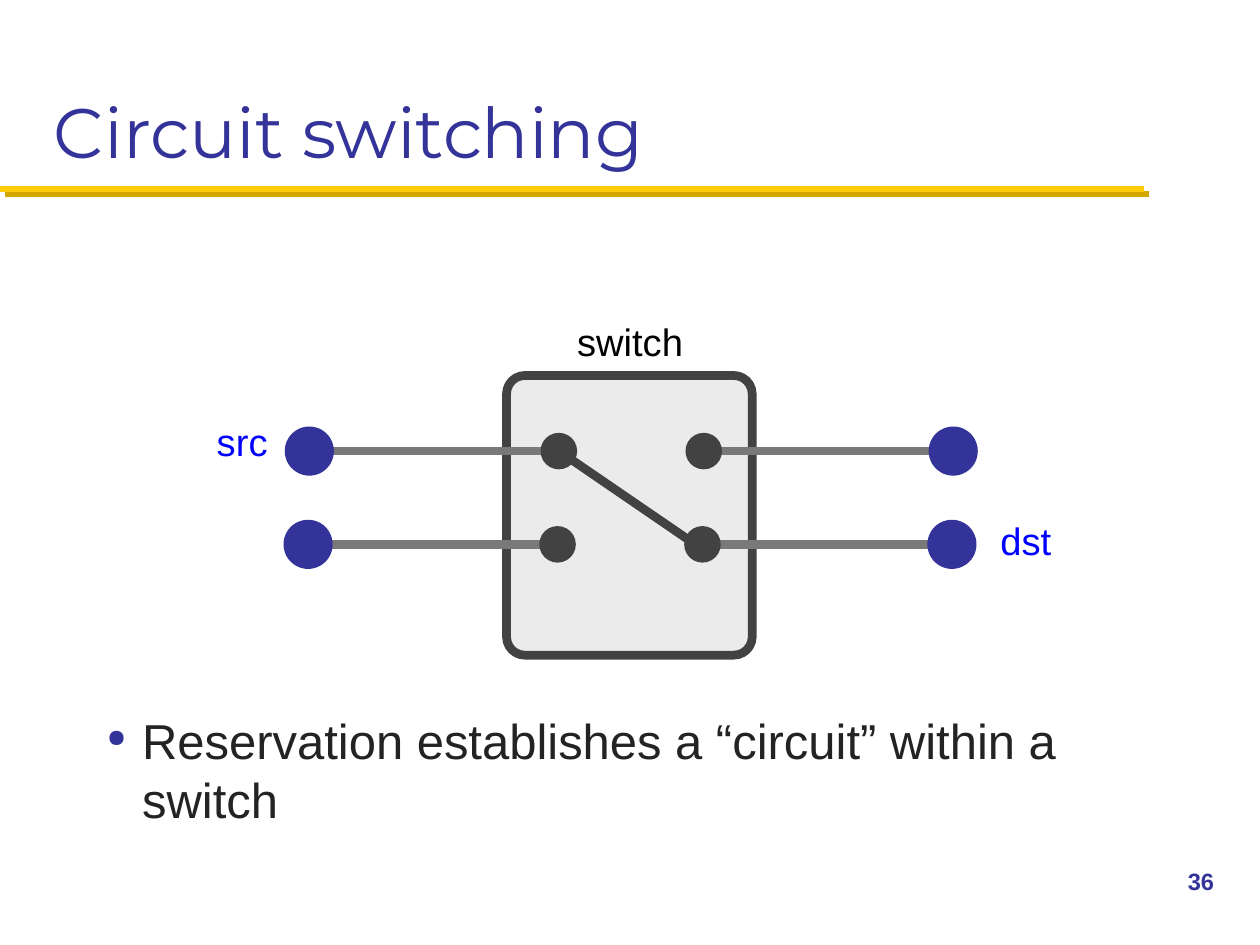
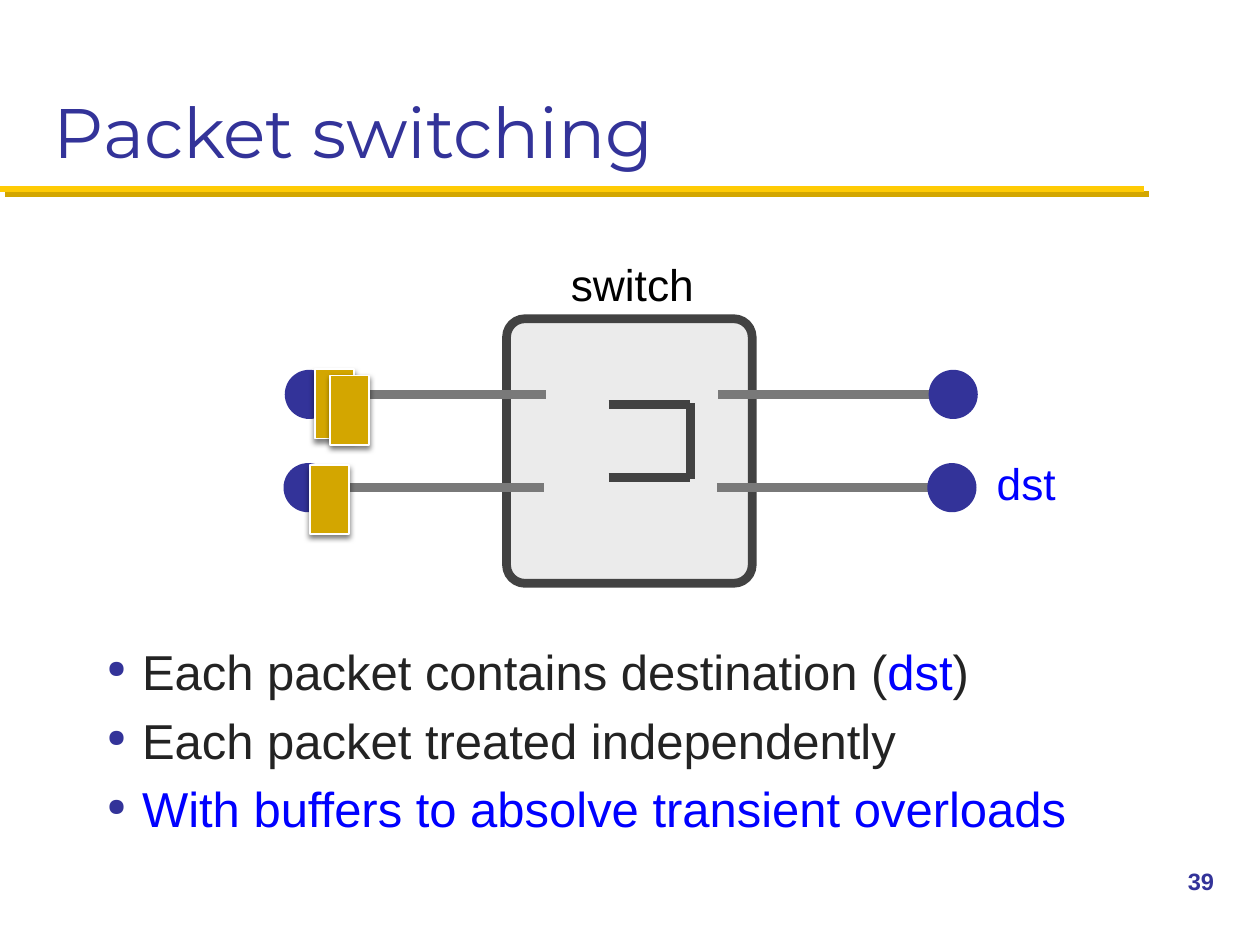
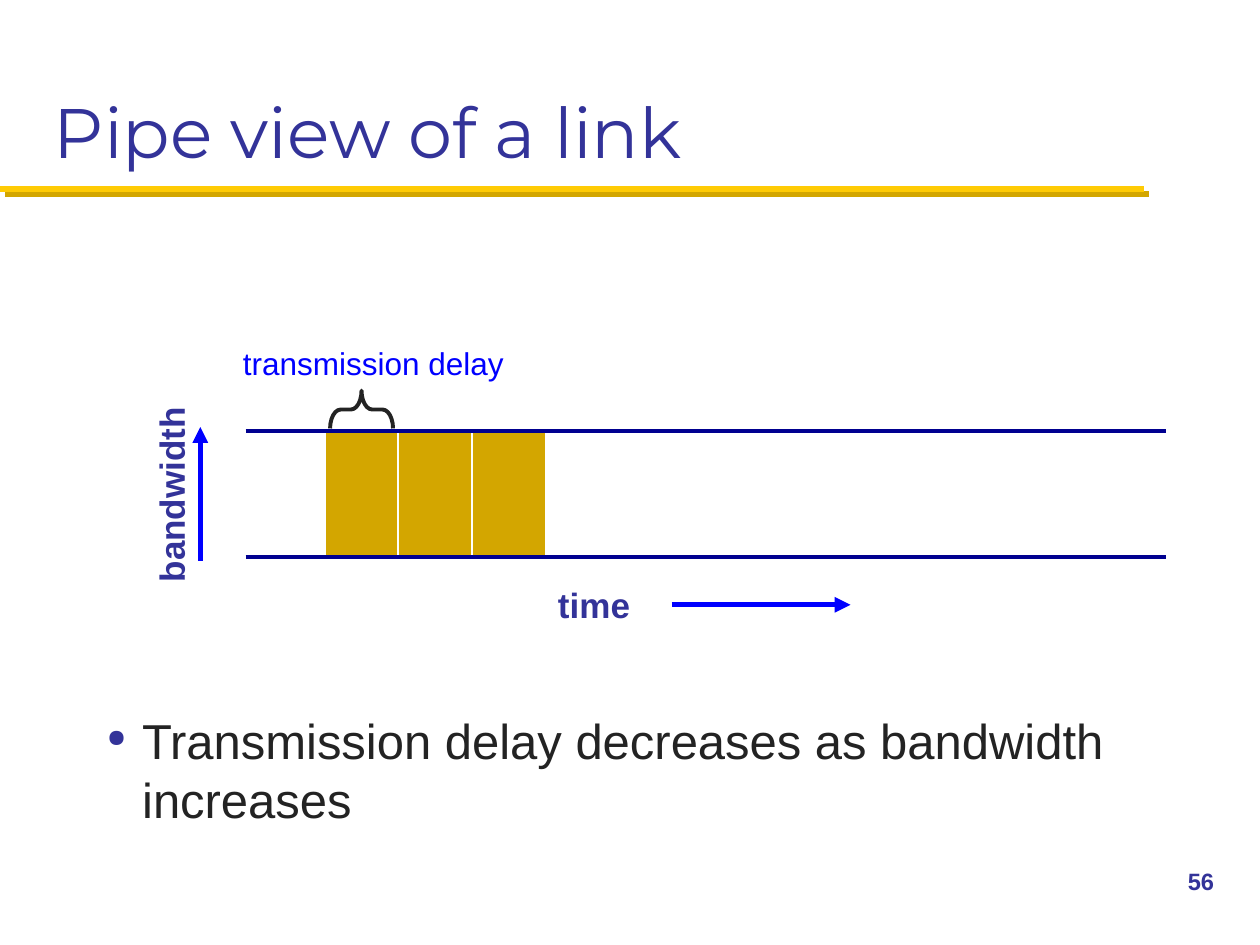
from dataclasses import dataclass

import lxml.etree
import pptx
import pptx.dml.color
import pptx.enum.shapes
import pptx.enum.text
import pptx.oxml.ns
import pptx.presentation
import pptx.shapes.autoshape
import pptx.shapes.base
import pptx.slide
import pptx.util

WIDTH = pptx.util.Inches(10)
HEIGHT = pptx.util.Inches(7.5)
COLUMN = WIDTH / 100
ROW = HEIGHT / 75

COLORS = {
    "navy": "333399",
    "band": "FFCB05",
    "gold": "D3A600",
    "ink": "232323",
    "blue": "0000FF",
    "black": "000000",
    "white": "FFFFFF",
    "switch": "EBEBEB",
    "dark": "424242",
    "link": "797979",
    "pipe": "000090",
}
BODY_FONT = "Arial"
TITLE_FONT = "Montserrat"
SHAPES = pptx.enum.shapes.MSO_SHAPE
ANCHORS = pptx.enum.text.MSO_ANCHOR

TextRun = tuple[str, str]


@dataclass(frozen=True)
class Box:
    left: float
    top: float
    width: float
    height: float

    def emu(self) -> tuple[int, int, int, int]:
        return (round(self.left * COLUMN), round(self.top * ROW),
                round(self.width * COLUMN), round(self.height * ROW))


@dataclass(frozen=True)
class Label:
    text: str
    box: Box
    size: float
    color: str
    font: str = BODY_FONT
    bold: bool = False
    wrap: bool = False
    anchor: pptx.enum.text.MSO_ANCHOR = ANCHORS.TOP
    insets: tuple[float, float] = (1, 0.5)
    rotation: float = 0


@dataclass(frozen=True)
class Line:
    start: tuple[float, float]
    end: tuple[float, float]
    color: str
    width: float
    arrow: bool = False


@dataclass(frozen=True)
class Shadow:
    color: str
    opacity: int
    blur: float
    distance: float
    angle: int


BAND_SHADOW = Shadow("gold", 100, 0, 4.2, 45)
PACKET_SHADOW = Shadow("black", 50, 3, 2, 90)


def rgb(color: str) -> pptx.dml.color.RGBColor:
    return pptx.dml.color.RGBColor.from_string(COLORS[color])


def add_element(parent: lxml.etree._Element, tag: str, **attributes: object) -> lxml.etree._Element:
    element = lxml.etree.SubElement(parent, pptx.oxml.ns.qn(f"a:{tag}"))
    for name, value in attributes.items():
        element.set(name, str(value))
    return element


def set_shadow(shape: pptx.shapes.base.BaseShape, shadow: Shadow | None) -> None:
    effects = add_element(shape._element.spPr, "effectLst")
    if shadow:
        outer = add_element(effects, "outerShdw", blurRad=pptx.util.Pt(shadow.blur),
                            dist=pptx.util.Pt(shadow.distance), dir=shadow.angle * 60000,
                            algn="ctr", rotWithShape=0)
        tint = add_element(outer, "srgbClr", val=COLORS[shadow.color])
        add_element(tint, "alpha", val=shadow.opacity * 1000)


def draw_line(slide: pptx.slide.Slide, line: Line, shadow: Shadow | None = None) -> None:
    (x1, y1), (x2, y2) = line.start, line.end
    connector = slide.shapes.add_connector(
        pptx.enum.shapes.MSO_CONNECTOR.STRAIGHT,
        round(x1 * COLUMN), round(y1 * ROW), round(x2 * COLUMN), round(y2 * ROW))
    connector.line.color.rgb = rgb(line.color)
    connector.line.width = pptx.util.Pt(line.width)
    if line.arrow:
        add_element(connector.line._get_or_add_ln(), "tailEnd", type="triangle")
    set_shadow(connector, shadow)


def draw_shape(slide: pptx.slide.Slide, kind: pptx.enum.shapes.MSO_SHAPE, box: Box,
               fill: str | None = None, outline: str | None = None, width: float = 1,
               shadow: Shadow | None = None) -> pptx.shapes.autoshape.Shape:
    shape = slide.shapes.add_shape(kind, *box.emu())
    if fill:
        shape.fill.solid()
        shape.fill.fore_color.rgb = rgb(fill)
    else:
        shape.fill.background()
    if outline:
        shape.line.color.rgb = rgb(outline)
        shape.line.width = pptx.util.Pt(width)
    else:
        shape.line.fill.background()
    set_shadow(shape, shadow)
    return shape


def draw_circle(slide: pptx.slide.Slide, x: float, y: float, diameter: float, fill: str) -> None:
    box = Box(x - diameter / 2, y - diameter / 2, diameter, diameter)
    draw_shape(slide, SHAPES.OVAL, box, fill)


def draw_label(slide: pptx.slide.Slide, label: Label) -> None:
    text_box = slide.shapes.add_textbox(*label.box.emu())
    text_box.rotation = label.rotation
    frame = text_box.text_frame
    frame.text = label.text
    frame.word_wrap = label.wrap
    frame.vertical_anchor = label.anchor
    frame.margin_left = frame.margin_right = round(label.insets[0] * COLUMN)
    frame.margin_top = frame.margin_bottom = round(label.insets[1] * ROW)
    font = frame.paragraphs[0].runs[0].font
    font.name, font.size, font.bold = label.font, pptx.util.Pt(label.size), label.bold
    font.color.rgb = rgb(label.color)


def draw_bullets(slide: pptx.slide.Slide, top: float, items: list[list[TextRun]]) -> None:
    frame = slide.shapes.add_textbox(*Box(7.5, top, 86.7, 65.8 - top).emu()).text_frame
    frame.word_wrap = True
    indent = pptx.util.Inches(0.28)
    for index, item in enumerate(items):
        paragraph = frame.add_paragraph() if index else frame.paragraphs[0]
        properties = paragraph._p.get_or_add_pPr()
        properties.set("marL", str(indent))
        properties.set("indent", str(-indent))
        add_element(add_element(properties, "buClr"), "srgbClr", val=COLORS["navy"])
        add_element(properties, "buSzPct", val=50000)
        add_element(properties, "buChar", char="●")
        paragraph.line_spacing = pptx.util.Pt(33.7)
        paragraph.space_before = pptx.util.Pt(5.6 if index else 0)
        for text, color in item:
            run = paragraph.add_run()
            run.text = text
            run.font.name, run.font.size = BODY_FONT, pptx.util.Pt(28)
            run.font.color.rgb = rgb(color)


def start_slide(presentation: pptx.presentation.Presentation, title: str,
                number: int) -> pptx.slide.Slide:
    slide = presentation.slides.add_slide(presentation.slide_layouts[6])
    draw_line(slide, Line((0, 15), (90.8, 15), "band", 3.5), BAND_SHADOW)
    draw_label(slide, Label(title, Box(3.3, 1.7, 93.3, 12.5), 40, "navy", TITLE_FONT,
                            wrap=True, anchor=ANCHORS.BOTTOM))
    draw_label(slide, Label(str(number), Box(93.3, 68.3, 6.7, 5), 13.5, "navy",
                            bold=True, wrap=True))
    return slide


def draw_switch(slide: pptx.slide.Slide, top: float, height: float, circuit: bool) -> None:
    switch = draw_shape(slide, SHAPES.ROUNDED_RECTANGLE, Box(40.2, top, 19.5, height),
                        "switch", "dark", 5)
    switch.adjustments[0] = 0.075
    upper, lower = top + 6, top + 13.4
    if circuit:
        draw_line(slide, Line((44.8, upper + 0.3), (55.9, lower + 0.5), "dark", 5))
    for y, shift in ((upper, 0), (lower, -0.1)):
        for start, end, host, contact in ((25, 43.3, 24.55, 44.35), (57, 75.2, 75.65, 55.85)):
            draw_line(slide, Line((start + shift, y), (end + shift, y), "link", 5))
            draw_circle(slide, host + shift, y, 3.9, "navy")
            if circuit:
                draw_circle(slide, contact + shift, y, 2.9, "dark")


def draw_switch_labels(slide: pptx.slide.Slide, size: float,
                       labels: list[tuple[str, Box, str]]) -> None:
    for text, box, color in labels:
        draw_label(slide, Label(text, box, size, color, anchor=ANCHORS.MIDDLE,
                                insets=(0.4, 0.4)))


def build_circuit_slide(presentation: pptx.presentation.Presentation) -> None:
    slide = start_slide(presentation, "Circuit switching", 36)
    draw_bullets(slide, 55.9, [[("Reservation establishes a “circuit” within a switch", "ink")]])
    draw_switch(slide, 29.8, 22.2, circuit=True)
    draw_switch_labels(slide, 21.8, [
        ("switch", Box(45.4, 24.8, 9.3, 4.5), "black"),
        ("src", Box(16.8, 32.8, 4.9, 4.5), "blue"),
        ("dst", Box(79, 40.6, 4.9, 4.5), "blue"),
    ])


def build_packet_slide(presentation: pptx.presentation.Presentation) -> None:
    slide = start_slide(presentation, "Packet switching", 39)
    draw_bullets(slide, 50.4, [
        [("Each packet contains destination (", "ink"), ("dst", "blue"), (")", "ink")],
        [("Each packet treated independently", "ink")],
        [("With buffers to absolve transient overloads", "blue")],
    ])
    draw_switch(slide, 25.3, 21, circuit=False)
    for left, top in ((25, 29.3), (26.2, 29.8), (24.6, 36.9)):
        draw_shape(slide, SHAPES.RECTANGLE, Box(left, top, 3.1, 5.5), "gold", "white", 1,
                   PACKET_SHADOW)
    draw_switch_labels(slide, 25.3, [
        ("switch", Box(44.9, 20, 10.6, 5), "black"),
        ("dst", Box(78.7, 35.8, 5.5, 5), "blue"),
    ])
    draw_line(slide, Line((54.8, 38), (54.8, 32), "dark", 5))
    for y in (32.1, 37.9):
        draw_line(slide, Line((48.3, y), (54.8, y), "dark", 5))


def build_pipe_slide(presentation: pptx.presentation.Presentation) -> None:
    slide = start_slide(presentation, "Pipe view of a link", 56)
    draw_bullets(slide, 55.9, [[("Transmission delay decreases as bandwidth increases", "ink")]])
    pipe_top, pipe_height = 34.2, 10
    for index in range(3):
        packet = Box(25.8 + index * 5.85, pipe_top, 5.8, pipe_height)
        draw_shape(slide, SHAPES.RECTANGLE, packet, "gold", "white", 0.75)
    for y in (pipe_top, pipe_top + pipe_height):
        draw_line(slide, Line((19.5, y), (92.5, y), "pipe", 2.25))
    draw_line(slide, Line((53.3, 48), (67.5, 48), "blue", 3, arrow=True))
    draw_line(slide, Line((15.9, 44.5), (15.9, 33.9), "blue", 3, arrow=True))
    brace = draw_shape(slide, SHAPES.RIGHT_BRACE, Box(27.2, 30, 3, 5), None, "ink", 2.25)
    brace.rotation = 270
    brace.adjustments[0] = 0.281
    for label in (
        Label("time", Box(43.3, 45.8, 7.8, 4.4), 20, "navy", bold=True),
        Label("bandwidth", Box(5.6, 37, 16, 4.4), 20, "navy", bold=True, rotation=270),
        Label("transmission delay", Box(18.3, 26.8, 22.9, 4), 18, "blue"),
    ):
        draw_label(slide, label)


def main() -> None:
    presentation = pptx.Presentation()
    presentation.slide_width, presentation.slide_height = WIDTH, HEIGHT
    build_circuit_slide(presentation)
    build_packet_slide(presentation)
    build_pipe_slide(presentation)
    presentation.save("out.pptx")


if __name__ == "__main__":
    main()
